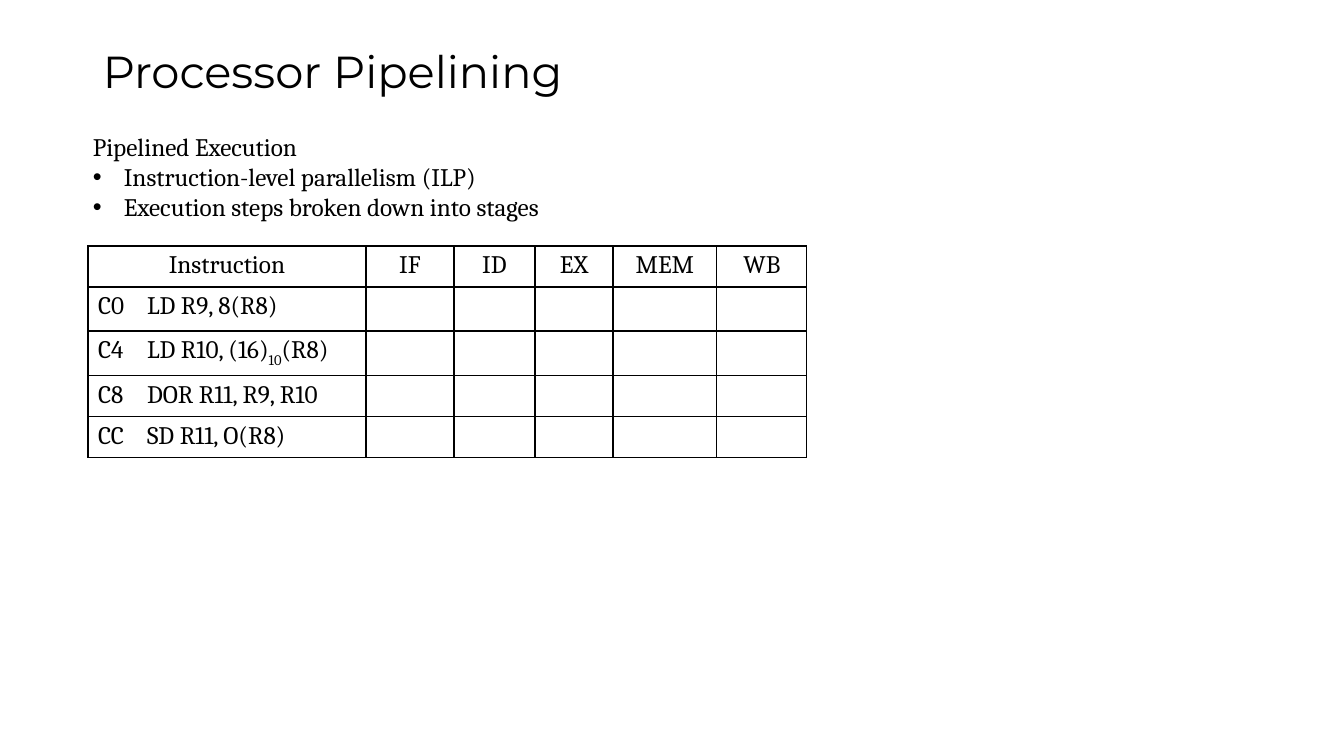
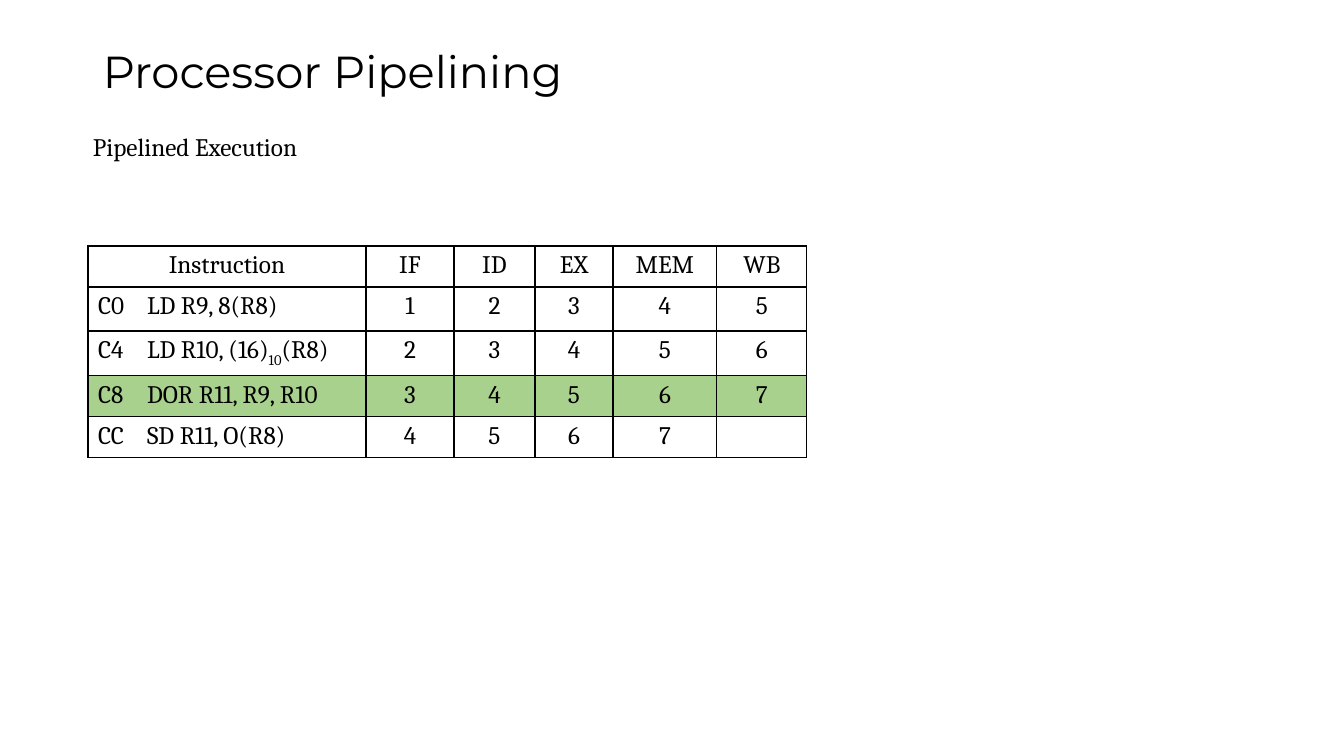
"""Build two slides on processor pipelining, each with a stage table."""
from lxml import etree
from pptx import Presentation
from pptx.dml.color import RGBColor
from pptx.enum.text import MSO_ANCHOR, MSO_AUTO_SIZE, PP_ALIGN
from pptx.oxml.ns import qn
from pptx.util import Pt

CENTER, LEFT = PP_ALIGN.CENTER, PP_ALIGN.LEFT
MIDDLE = MSO_ANCHOR.MIDDLE
FIT_SHAPE = MSO_AUTO_SIZE.SHAPE_TO_FIT_TEXT
BLACK = RGBColor(0x00, 0x00, 0x00)
GREEN = RGBColor(0xA9, 0xD1, 0x8E)
TITLE_FONT, BODY_FONT = "Montserrat", "Cambria"
PIXEL = 914400 / 100.8
BULLET_INDENT, CODE_INDENT = 31, 49

COLUMN_WIDTHS = [278, 88, 81, 78, 104, 90]
ROW_HEIGHTS = [41, 44, 41, 41, 41]
HEADINGS = ["Instruction", "IF", "ID", "EX", "MEM", "WB"]
INSTRUCTIONS = [
    ["C0\tLD R9, 8(R8)"],
    ["C4\tLD R10, (16)", "10", "(R8)"],
    ["C8\tDOR R11, R9, R10"],
    ["CC\tSD R11, O(R8)"],
]
HEADING = "Pipelined Execution"
BULLETS = ["Instruction-level parallelism (ILP)", "Execution steps broken down into stages"]
SLIDES = [
    {"bullets": BULLETS, "box": (556, 102), "last_cycle": 0, "highlight": None},
    {"bullets": [], "box": (266, 40), "last_cycle": 7, "highlight": 3},
]


def px(length):
    return round(length * PIXEL)


def add_text(paragraph, texts, font=BODY_FONT, size=18, hanging=0):
    """Add the texts as runs, every second one as a subscript."""
    for index, text in enumerate(texts):
        run = paragraph.add_run()
        run.text = text
        run.font.name = font
        run.font.size = Pt(size)
        run.font.color.rgb = BLACK
        if index % 2:
            run.font._element.set("baseline", "-25000")
    if hanging:
        properties = paragraph._p.get_or_add_pPr()
        properties.set("marL", str(px(hanging)))
        properties.set("indent", str(-px(hanging)))


presentation = Presentation()
presentation.slide_width, presentation.slide_height = px(1344), px(756)

for content in SLIDES:
    slide = presentation.slides.add_slide(presentation.slide_layouts[6])

    title_frame = slide.shapes.add_textbox(px(93), px(40), px(1159), px(68)).text_frame
    title_frame.word_wrap = True
    title_frame.vertical_anchor = MIDDLE
    title_frame.paragraphs[0].line_spacing = 0.9
    add_text(title_frame.paragraphs[0], ["Processor Pipelining"], TITLE_FONT, 32)

    box_width, box_height = content["box"]
    body_frame = slide.shapes.add_textbox(px(83), px(126), px(box_width), px(box_height)).text_frame
    body_frame.word_wrap = True
    body_frame.auto_size = FIT_SHAPE
    add_text(body_frame.paragraphs[0], [HEADING])
    for bullet in content["bullets"]:
        paragraph = body_frame.add_paragraph()
        add_text(paragraph, [bullet], hanging=BULLET_INDENT)
        properties = paragraph._p.get_or_add_pPr()
        etree.SubElement(properties, qn("a:buFont"), typeface="Arial")
        etree.SubElement(properties, qn("a:buChar"), char="•")

    table = slide.shapes.add_table(
        len(ROW_HEIGHTS), len(COLUMN_WIDTHS), px(88), px(246),
        px(sum(COLUMN_WIDTHS)), px(sum(ROW_HEIGHTS))).table
    table.first_row = table.horz_banding = False
    for column, width in zip(table.columns, COLUMN_WIDTHS):
        column.width = px(width)
    for row, height in zip(table.rows, ROW_HEIGHTS):
        row.height = px(height)

    for row_index, row in enumerate(table.rows):
        for column_index, cell in enumerate(row.cells):
            cell_properties = cell._tc.get_or_add_tcPr()
            for side in ("lnL", "lnR", "lnT", "lnB"):
                border = etree.SubElement(cell_properties, qn(f"a:{side}"), w=str(Pt(1)))
                border_fill = etree.SubElement(border, qn("a:solidFill"))
                etree.SubElement(border_fill, qn("a:srgbClr"), val=str(BLACK))
            if row_index == content["highlight"]:
                cell.fill.solid()
                cell.fill.fore_color.rgb = GREEN
            else:
                cell.fill.background()

            paragraph = cell.text_frame.paragraphs[0]
            paragraph.alignment = CENTER
            cycle = row_index + column_index - 1
            if row_index == 0:
                add_text(paragraph, [HEADINGS[column_index]])
            elif column_index == 0:
                paragraph.alignment = LEFT
                add_text(paragraph, INSTRUCTIONS[row_index - 1], hanging=CODE_INDENT)
            elif cycle <= content["last_cycle"]:
                add_text(paragraph, [str(cycle)])

presentation.save("out.pptx")
